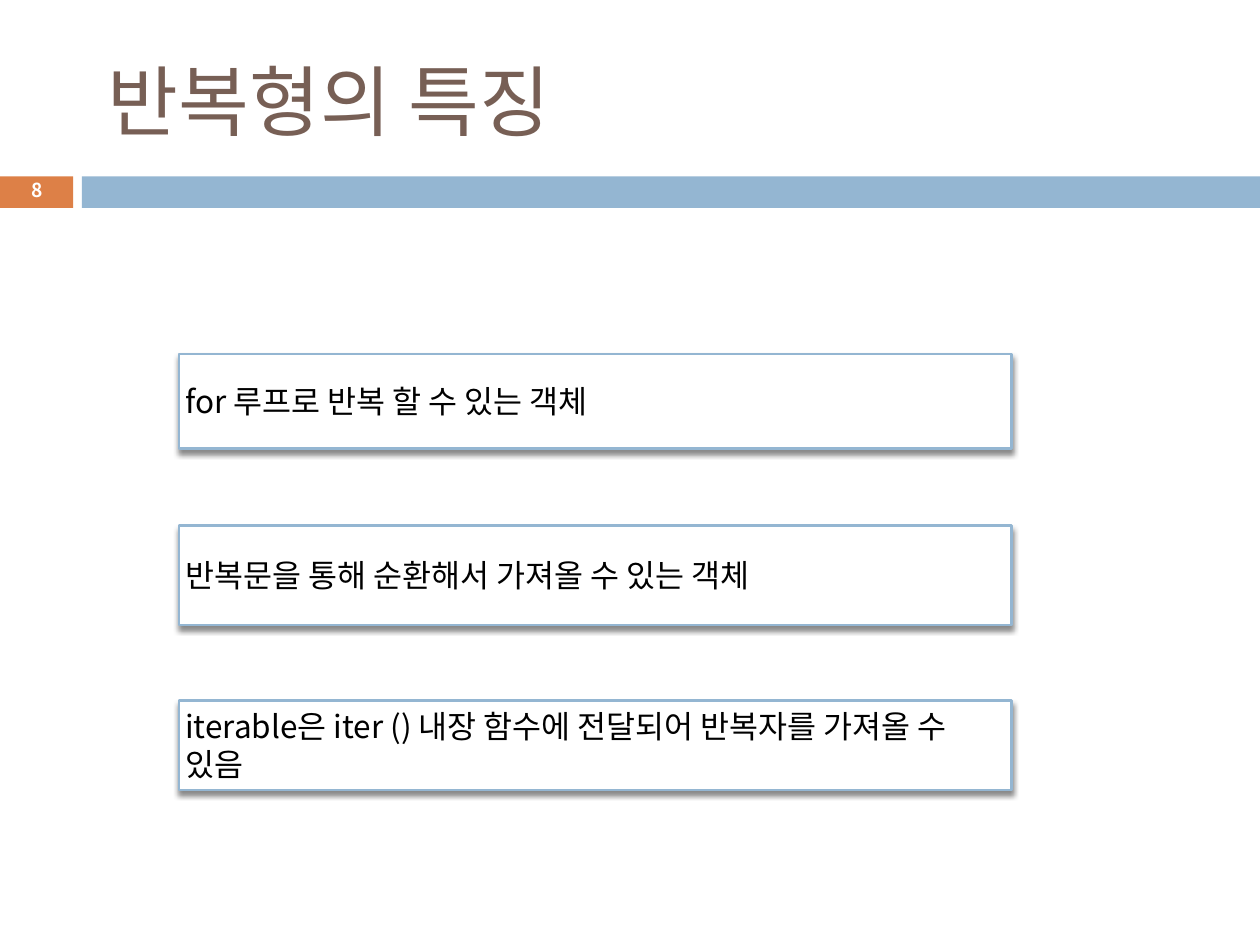
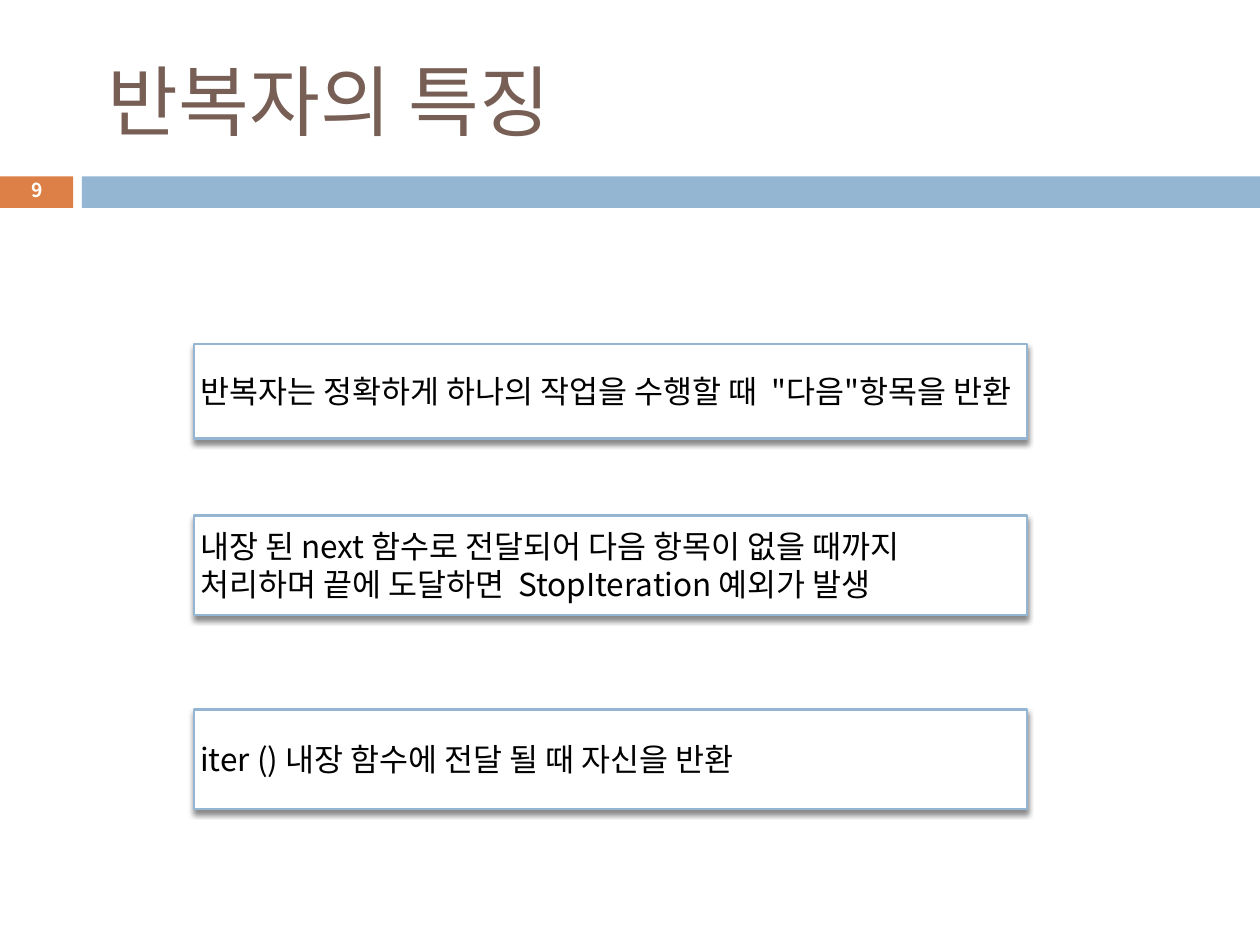
from lxml.etree import SubElement
from pptx import Presentation
from pptx.dml.color import RGBColor
from pptx.enum.shapes import MSO_SHAPE
from pptx.enum.text import MSO_ANCHOR, PP_ALIGN
from pptx.oxml.ns import qn
from pptx.util import Inches, Pt

FONT = "Noto Sans CJK KR"
BROWN, ORANGE, BLUE = "775F55", "DD8047", "94B6D2"
WHITE, BLACK = "FFFFFF", "000000"
BOX_WIDTH = 6.61


def color(hex_value):
    return RGBColor.from_string(hex_value)


class Deck:
    def __init__(self):
        self.prs = Presentation()
        self.prs.slide_width = Inches(10)
        self.prs.slide_height = Inches(7.5)
        self.s = None

    def add_slide(self, title, number):
        self.s = self.prs.slides.add_slide(self.prs.slide_layouts[5])
        self.title(title)
        self.rect(0, 1.4, 0.58, 0.25, ORANGE)
        self.rect(0.65, 1.4, 9.35, 0.25, BLUE)
        self.page_number(number)

    def set_text(self, sp, text, size, hex_value, align=PP_ALIGN.LEFT, bold=False, wrap=True):
        tf = sp.text_frame
        tf.text = text
        tf.word_wrap = wrap
        tf.vertical_anchor = MSO_ANCHOR.MIDDLE
        tf.margin_left = tf.margin_right = Inches(0.05)
        tf.margin_top = tf.margin_bottom = Inches(0.05)
        p = tf.paragraphs[0]
        p.alignment = align
        font = p.runs[0].font
        font.size, font.bold, font.name = Pt(size), bold, FONT
        font.color.rgb = color(hex_value)
        SubElement(p.runs[0]._r.rPr, qn("a:ea"), typeface=FONT)
        return p

    def title(self, text):
        sp = self.s.shapes.title
        sp.left, sp.top = Inches(0.67), Inches(0.25)
        sp.width, sp.height = Inches(8.92), Inches(1.08)
        self.set_text(sp, text, 44, BROWN)

    def page_number(self, number):
        sp = self.s.shapes.add_textbox(Inches(0.19), Inches(1.37), Inches(0.21), Inches(0.3))
        p = self.set_text(sp, str(number), 11, WHITE, PP_ALIGN.CENTER, bold=True, wrap=False)
        p.line_spacing = 0.8

    def rect(self, x, y, w, h, fill):
        sp = self.s.shapes.add_shape(MSO_SHAPE.RECTANGLE, Inches(x), Inches(y), Inches(w), Inches(h))
        sp.fill.solid()
        sp.fill.fore_color.rgb = color(fill)
        sp.line.fill.background()
        sp.shadow.inherit = False
        return sp

    def box(self, x, y, h, text):
        sp = self.rect(x, y, BOX_WIDTH, h, WHITE)
        sp.line.color.rgb = color(BLUE)
        sp.line.width = Pt(1.5)
        self.drop_shadow(sp)
        self.set_text(sp, text, 18, BLACK)

    def drop_shadow(self, sp):
        effects = sp._element.spPr.find(qn("a:effectLst"))
        shadow = SubElement(effects, qn("a:outerShdw"), blurRad=str(Pt(3)), dist=str(Pt(2.4)),
                            dir=str(90 * 60000), rotWithShape="0")
        tint = SubElement(shadow, qn("a:srgbClr"), val=BLACK)
        SubElement(tint, qn("a:alpha"), val="45000")


SLIDES = [
    (" 반복형의 특징", 1.42, [
        (2.81, 0.75, "for 루프로 반복 할 수 있는 객체"),
        (4.17, 0.79, "반복문을 통해 순환해서 가져올 수 있는 객체"),
        (5.56, 0.71, "iterable은 iter () 내장 함수에 전달되어 반복자를 가져올 수 있음"),
    ]),
    (" 반복자의 특징", 1.54, [
        (2.73, 0.75, "반복자는 정확하게 하나의 작업을 수행할 때  \"다음\"항목을 반환"),
        (4.09, 0.79, "내장 된 next 함수로 전달되어 다음 항목이 없을 때까지 처리하며 "
                     "끝에 도달하면  StopIteration 예외가 발생"),
        (5.63, 0.79, "iter () 내장 함수에 전달 될 때 자신을 반환"),
    ]),
]


def main():
    deck = Deck()
    for number, (title, left, boxes) in enumerate(SLIDES, start=8):
        deck.add_slide(title, number)
        for top, height, text in boxes:
            deck.box(left, top, height, text)
    deck.prs.save("out.pptx")


if __name__ == "__main__":
    main()
